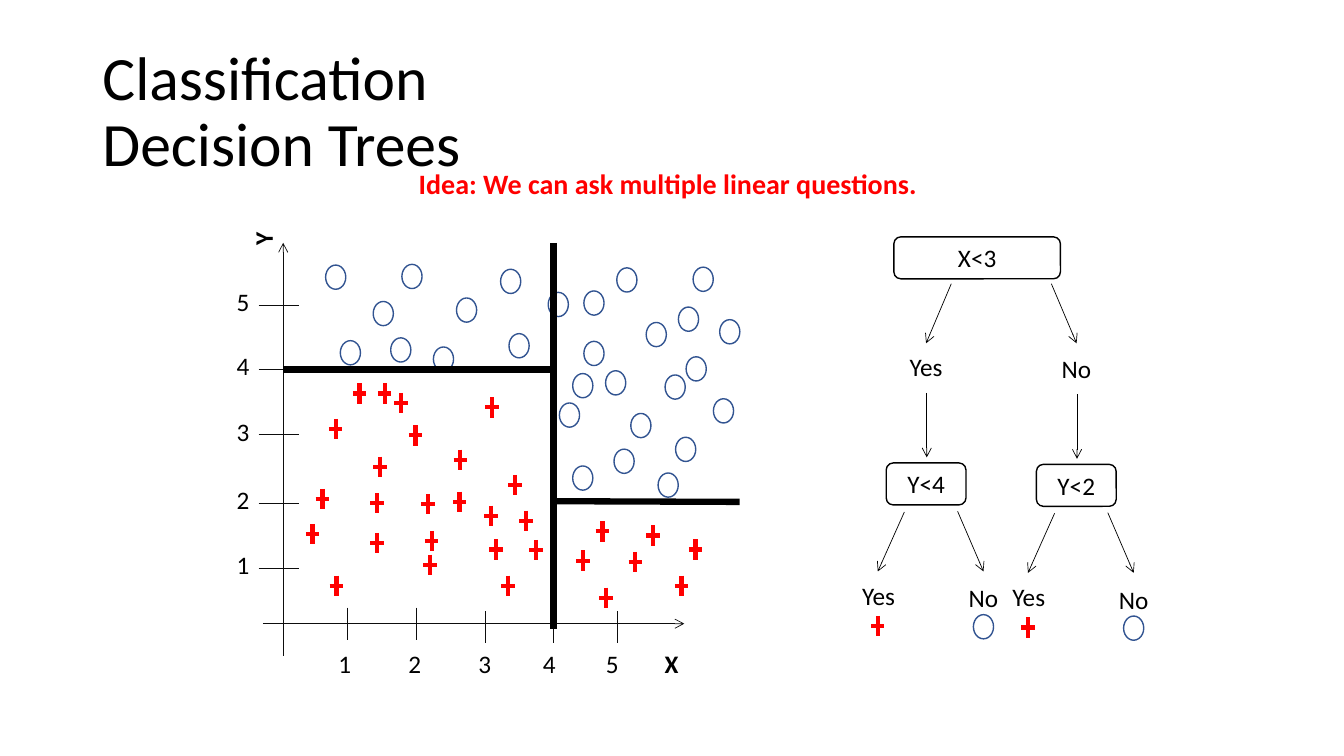
from pptx import Presentation
from pptx.dml.color import RGBColor
from pptx.enum.shapes import MSO_CONNECTOR as Link, MSO_SHAPE as Shape
from pptx.enum.text import MSO_ANCHOR as Anchor, MSO_AUTO_SIZE as AutoSize, PP_ALIGN as Align
from pptx.oxml.ns import qn
from pptx.util import Pt
from lxml.etree import SubElement

COLORS = {"ink": "000000", "axis": "0D0D0D", "cross": "FF0000", "circle": "325491"}
FONT = "Calibri"
LABEL_HEIGHT = 29

X_TICKS = [(46, 260.5), (95, 260.5), (144.5, 263), (193, 263), (238.5, 263)]
Y_TICKS = [232.5, 186, 137, 90.5, 44.5]
X_LABEL_TABS = [50, 100, 146, 191, 233]
CROSSES = [
    (67, 186), (38, 245), (105, 230), (37.5, 133), (160.5, 245), (28, 183),
    (84, 114.5), (103.5, 186.5), (94.5, 137.5), (180.5, 219.5), (126.5, 155), (69, 160),
    (214, 227), (230.5, 253.5), (284.5, 245), (165.5, 173), (251.5, 228), (173.5, 198.5),
    (264, 209), (54.5, 107.5), (149, 117.5), (126, 185), (294.5, 219), (228, 206),
    (148.5, 195), (106, 213), (152, 219), (72.5, 107.5), (21, 208), (67, 214.5),
]
CIRCLES = [
    (300, 26), (84, 76.5), (245.5, 26.5), (214, 102), (196.5, 44), (222, 79), (214, 168),
    (319, 63.5), (295, 90), (222, 43), (266.5, 65.5), (314.5, 120), (287.5, 147.5),
    (280, 103), (255.5, 130.5), (92, 24), (37.5, 24.5), (131, 48), (71.5, 50.5),
    (48, 78.5), (114.5, 83), (162.5, 27.5), (168.5, 73.5), (204.5, 123), (275, 173),
    (243.5, 156), (237.5, 100), (289.5, 54.5),
]


def rgb(name):
    """Return the named colour."""
    return RGBColor.from_string(COLORS[name])


def format_text(frame, size=18, color="ink", bold=False, align=Align.CENTER):
    """Format every run of a text frame."""
    for para in frame.paragraphs:
        para.alignment = align
        for span in para.runs:
            span.font.name = FONT
            span.font.size = Pt(size)
            span.font.bold = bold
            span.font.color.rgb = rgb(color)


def add_label(slide, text, left, top, width, height=LABEL_HEIGHT, **style):
    """Add a wrapping text box."""
    box = slide.shapes.add_textbox(Pt(left), Pt(top), Pt(width), Pt(height))
    frame = box.text_frame
    frame.text = text
    frame.word_wrap = True
    frame.auto_size = AutoSize.SHAPE_TO_FIT_TEXT
    format_text(frame, **style)
    return box


def add_line(shapes, start, end, color="ink", weight=0.5, arrow=False):
    """Add a straight line, with an open arrowhead on request."""
    line = shapes.add_connector(Link.STRAIGHT, *map(Pt, start + end))
    line.line.color.rgb = rgb(color)
    line.line.width = Pt(weight)
    if arrow:
        SubElement(line.line._get_or_add_ln(), qn("a:tailEnd"), type="arrow")
    SubElement(line._element.spPr, qn("a:effectLst"))


def add_outline(slide, kind, left, top, width, height, color):
    """Add an unfilled preset shape."""
    shape = slide.shapes.add_shape(kind, Pt(left), Pt(top), Pt(width), Pt(height))
    shape.shadow.inherit = False
    shape.fill.background()
    shape.line.color.rgb = rgb(color)
    shape.line.width = Pt(1)
    return shape


def add_cross(slide, x, y):
    """Add a grouped red cross centred on a point."""
    shapes = slide.shapes.add_group_shape().shapes
    add_line(shapes, (x, y - 7.3), (x, y + 7.3), "cross", 3)
    add_line(shapes, (x - 4.8, y), (x + 4.8, y), "cross", 3)


def add_circle(slide, x, y):
    """Add a blue circle centred on a point."""
    add_outline(slide, Shape.OVAL, x - 7.2, y - 8.65, 14.4, 17.3, "circle")


def add_question(slide, text, left, top, width):
    """Add a rounded question node of the tree."""
    node = add_outline(slide, Shape.ROUNDED_RECTANGLE, left, top, width, 30, "ink")
    node.text_frame.text = text
    node.text_frame.vertical_anchor = Anchor.MIDDLE
    format_text(node.text_frame)


def add_heading(slide, left, top, width, height):
    """Place the title and the idea line below it."""
    title = slide.shapes.title
    title.left, title.top, title.width, title.height = map(Pt, (left, top, width, height))
    frame = title.text_frame
    frame.text = "Classification\vDecision Trees"
    frame.auto_size = AutoSize.NONE
    frame.vertical_anchor = Anchor.MIDDLE
    frame.paragraphs[0].line_spacing = 0.9
    format_text(frame, size=44, align=Align.LEFT)
    add_label(slide, "Idea: We can ask multiple linear questions.",
              left + 203, top + 86.4, 416, 31.5, size=20, color="cross", bold=True)


def add_axes(slide, left, top):
    """Draw both axes with their ticks and labels."""
    shapes = slide.shapes
    add_line(shapes, (left - 14.5, top + 272), (left + 286.5, top + 272), "axis", arrow=True)
    add_line(shapes, (left, top + 295), (left, top), "axis", arrow=True)
    for number, tick in enumerate(Y_TICKS, 1):
        y = top + tick
        add_line(shapes, (left - 17.5, y), (left + 11.5, y), "axis")
        add_label(slide, str(number), left - 86, y - 17, 69, align=Align.RIGHT)
    for tick, start in X_TICKS:
        x, y = left + tick, top + start
        add_line(shapes, (x, y), (x, y + 23), "axis")
    add_label(slide, "Y", left - 47.5, top - 17.3, 66, bold=True).rotation = 270

    numbers = "".join(f"{number}\t" for number in range(1, len(X_TICKS) + 1))
    box = add_label(slide, numbers, left + 32.4, top + 285.8, 269)
    para = box.text_frame.paragraphs[0]
    para.add_run().text = "X"
    format_text(box.text_frame, align=Align.LEFT)
    para.runs[-1].font.bold = True
    tabs = SubElement(para._p.get_or_add_pPr(), qn("a:tabLst"))
    for position in X_LABEL_TABS:
        SubElement(tabs, qn("a:tab"), pos=str(Pt(position)), algn="l")


def add_plot(slide, left, top):
    """Draw the scatter plot and its dividing lines."""
    add_axes(slide, left, top)
    for x, y in CROSSES:
        add_cross(slide, left + x, top + y)
    for x, y in CIRCLES:
        add_circle(slide, left + x, top + y)
    dividers = [(193, 0, 193, 276), (193, 90.5, 0, 90.5), (326, 185, 191.5, 184.5)]
    for x1, y1, x2, y2 in dividers:
        add_line(slide.shapes, (left + x1, top + y1), (left + x2, top + y2), weight=4.5)


def add_subtree(slide, answer, question, left, top):
    """Draw one branch: its answer, question and two leaves."""
    add_label(slide, answer, left + 34, top, 57)
    add_question(slide, question, left + 34, top + 83, 57)
    for x1, y1, x2, y2 in [(63, 33, 63, 79), (47, 118, 28, 160.5), (85, 117.5, 103.5, 160.5)]:
        add_line(slide.shapes, (left + x1, top + y1), (left + x2, top + y2), arrow=True)
    add_label(slide, "Yes", left, top + 163, 57)
    add_label(slide, "No", left + 75, top + 165, 57)
    add_cross(slide, left + 28, top + 199.5)
    add_circle(slide, left + 103.5, top + 200)


def add_tree(slide, left, top):
    """Draw the decision tree."""
    add_question(slide, "X<3", left + 39.5, top, 119)
    for x1, x2 in [(80.5, 62.5), (152, 170)]:
        add_line(slide.shapes, (left + x1, top + 33.5), (left + x2, top + 76), arrow=True)
    add_subtree(slide, "Yes", "Y<4", left, top + 78.5)
    add_subtree(slide, "No", "Y<2", left + 107.3, top + 79.5)


def main():
    """Build and save the slide."""
    deck = Presentation()
    deck.slide_width, deck.slide_height = Pt(960), Pt(540)
    slide = deck.slides.add_slide(deck.slide_layouts[5])
    add_heading(slide, 66, 28.8, 828, 104.4)
    add_plot(slide, 202.3, 173.5)
    add_tree(slide, 599, 169.2)
    deck.save("out.pptx")


if __name__ == "__main__":
    main()
